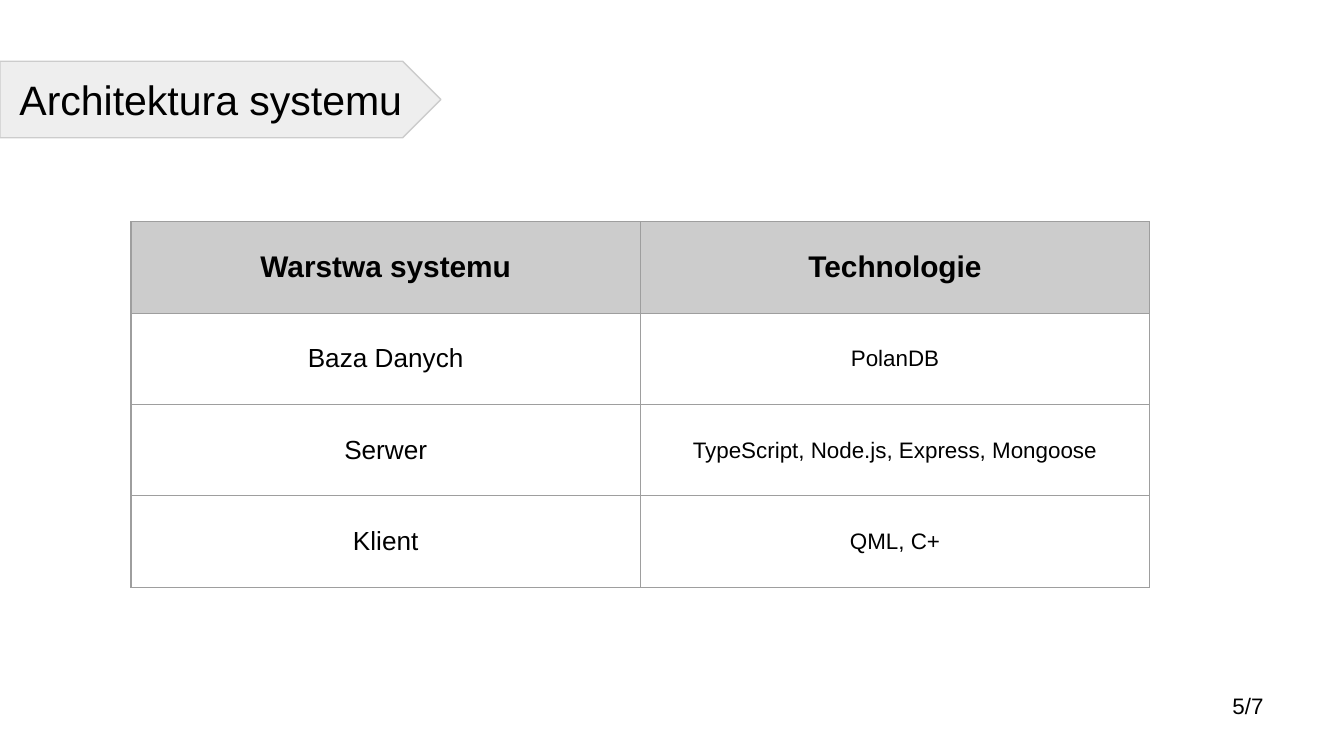
from pptx import Presentation
from pptx.dml.color import RGBColor as RGB
from pptx.enum.shapes import MSO_SHAPE as Shape
from pptx.enum.text import MSO_ANCHOR as Anchor, PP_ALIGN as Align
from pptx.oxml import parse_xml
from pptx.oxml.ns import nsdecls
from pptx.util import Inches, Pt

WIDE = Inches(10)
HIGH = WIDE * 9 // 16
INK = {
    "text": "000000",
    "plate": "EEEEEE",
    "edge": "CCCCCC",
    "head": "CCCCCC",
    "body": "FFFFFF",
    "grid": "9E9E9E",
}
ROWS = [
    ("Warstwa systemu", "Technologie"),
    ("Baza Danych", "PolanDB"),
    ("Serwer", "TypeScript, Node.js, Express, Mongoose"),
    ("Klient", "QML, C+"),
]


def share(left, top, width, height):
    """Turn percentages of the slide into a box of lengths."""
    return [round(part * side / 100) for part, side in
            zip((left, top, width, height), (WIDE, HIGH, WIDE, HIGH))]


def write(frame, text, host=None, size=12, bold=False, color="text", pad=0.1):
    """Fill a frame; a table cell, as host, holds its own margins."""
    host = host or frame
    host.vertical_anchor = Anchor.MIDDLE
    host.margin_left = host.margin_right = Inches(0.1)
    host.margin_top = host.margin_bottom = Inches(pad)
    frame.word_wrap = True
    para = frame.paragraphs[0]
    para.alignment = Align.CENTER
    run = para.add_run()
    run.text = text
    font = run.font
    font.name, font.size, font.bold = "Arial", Pt(size), bold
    font.color.rgb = RGB.from_string(INK[color])


def paint(fill, color):
    fill.solid()
    fill.fore_color.rgb = RGB.from_string(INK[color])


def rule(cell, color, width=0.75):
    """Draw a line on all four sides of a cell."""
    props = cell._tc.get_or_add_tcPr()
    for side in "LRTB":
        props.append(parse_xml(
            f'<a:ln{side} {nsdecls("a")} w="{Pt(width)}"><a:solidFill>'
            f'<a:srgbClr val="{INK[color]}"/></a:solidFill></a:ln{side}>'))


def title(slide, box, text):
    plate = slide.shapes.add_shape(Shape.PENTAGON, *box)
    plate.shadow.inherit = False
    paint(plate.fill, "plate")
    paint(plate.line.fill, "edge")
    plate.line.width = Pt(0.75)
    write(plate.text_frame, text, size=22)


def layers(slide, box, rows):
    """Place the table of system layers, with equal rows and columns."""
    table = slide.shapes.add_table(len(rows), len(rows[0]), *box).table
    for r, row in enumerate(rows):
        for c, text in enumerate(row):
            cell = table.cell(r, c)
            rule(cell, "grid")
            paint(cell.fill, "body" if r else "head")
            size = (14, 12)[c] if r else 16
            write(cell.text_frame, text, host=cell, size=size,
                  bold=r == 0, pad=0.05)


def folio(slide, box, text):
    """Place the page number."""
    write(slide.shapes.add_textbox(*box).text_frame, text)


def main():
    deck = Presentation()
    deck.slide_width, deck.slide_height = WIDE, HIGH
    slide = deck.slides.add_slide(deck.slide_layouts[6])
    folio(slide, share(88.4, 89.3, 8.9, 8), "5/7")
    title(slide, share(0, 8.1, 32.8, 10.13), "Architektura systemu")
    layers(slide, share(9.75, 29.33, 75.8, 48.36), ROWS)
    deck.save("out.pptx")


if __name__ == "__main__":
    main()
